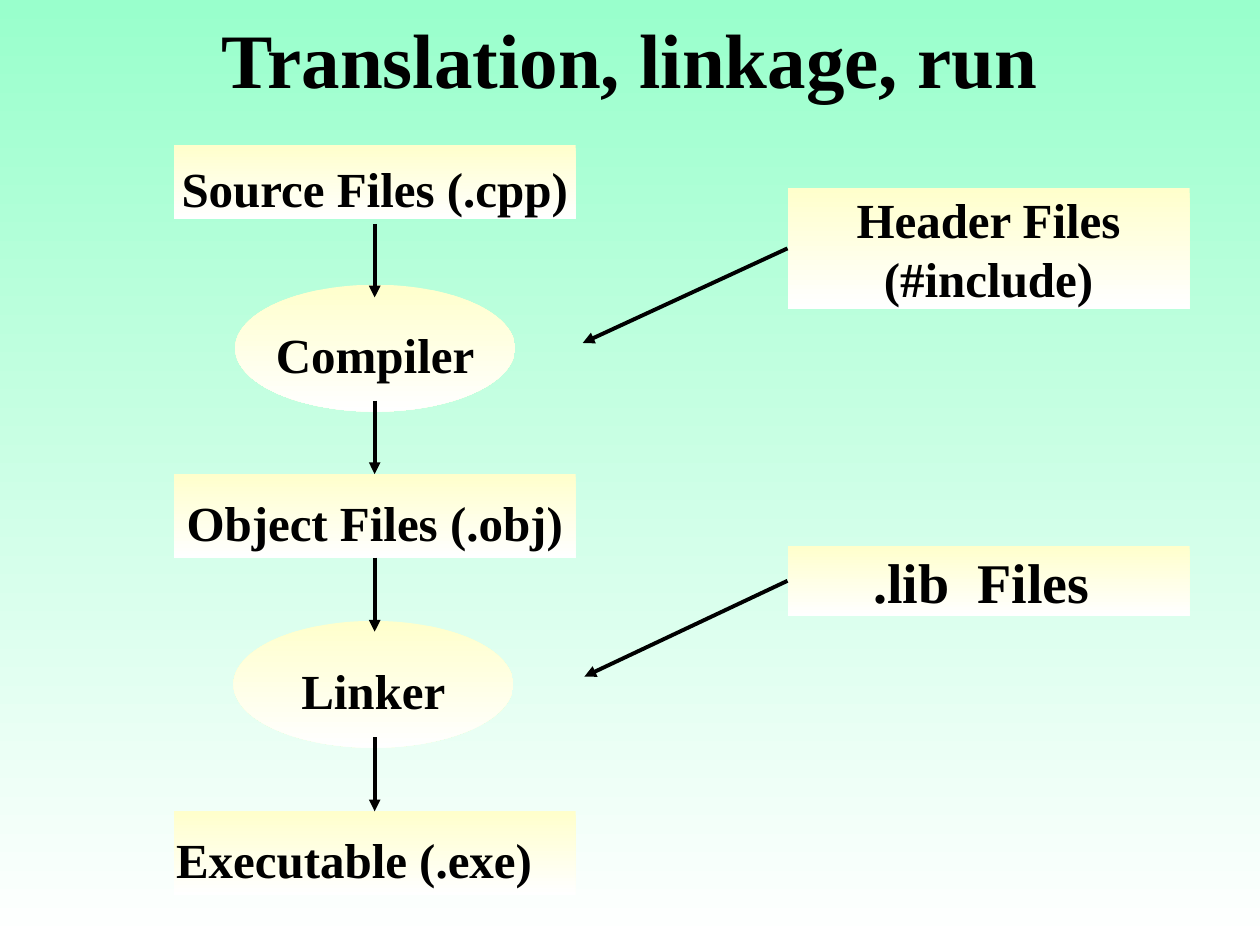
"""Build the slide on translation, linkage and run."""
from lxml.etree import SubElement
from pptx import Presentation
from pptx.dml.color import RGBColor
from pptx.enum.shapes import MSO_CONNECTOR, MSO_SHAPE
from pptx.enum.text import MSO_ANCHOR, PP_ALIGN
from pptx.oxml.ns import qn
from pptx.util import Pt

COLORS = {"mint": "99FFCC", "cream": "FFFFCC", "white": "FFFFFF", "black": "000000"}


def fade(fill, top):
    fill.gradient()
    fill.gradient_angle = 270
    for stop, name in zip(fill.gradient_stops, (top, "white")):
        stop.color.rgb = RGBColor.from_string(COLORS[name])


def write(sp, text, size, margins, wrap, para):
    tf = sp.text_frame
    frame = {"word_wrap": wrap, "vertical_anchor": MSO_ANCHOR.MIDDLE}
    for side, gap in zip(("left", "top", "right", "bottom"), margins * 2):
        frame[f"margin_{side}"] = Pt(gap)
    for key, value in frame.items():
        setattr(tf, key, value)
    p = tf.paragraphs[0]
    for key, value in para.items():
        setattr(p, key, value)
    r = p.add_run()
    r.text = text
    for key, value in {"name": "Times New Roman", "size": Pt(size), "bold": True}.items():
        setattr(r.font, key, value)
    r.font.color.rgb = RGBColor.from_string(COLORS["black"])


prs = Presentation()
prs.slide_width, prs.slide_height = Pt(720), Pt(540)
s = prs.slides.add_slide(prs.slide_layouts[6])
fade(s.background.fill, "mint")

title = s.shapes.add_textbox(Pt(0), Pt(12.2), Pt(720), Pt(41.8))
write(title, "Translation, linkage, run", 44, (0, 3.6), True, {"alignment": PP_ALIGN.CENTER})

RECT, OVAL = MSO_SHAPE.RECTANGLE, MSO_SHAPE.OVAL
CENTER, LEFT = PP_ALIGN.CENTER, PP_ALIGN.LEFT
FILES_X, EXTRA_X, FILES_W = 99.2, 450, 229.8
OVAL_W, OVAL_H = 160, 72.5
boxes = [
    ("Source Files (.cpp)", RECT, FILES_X, 82.9, FILES_W, 42, 28, CENTER, 1.2, 17.5),
    ("Object Files (.obj)", RECT, FILES_X, 270.9, FILES_W, 47.8, 28, CENTER, 1.2, 17.5),
    ("Executable (.exe)", RECT, FILES_X, 463.6, FILES_W, 47.8, 28, LEFT, 1.2, 17.5),
    ("Compiler", OVAL, 134.4, 162.7, OVAL_W, OVAL_H, 28, CENTER, 1.2, 7),
    ("Linker", OVAL, 133.4, 354.8, OVAL_W, OVAL_H, 28, CENTER, 1.2, 7),
    ("Header Files (#include)", RECT, EXTRA_X, 107.4, FILES_W, 69.1, 28, CENTER, 1, 17.5),
    (".lib  Files ", RECT, EXTRA_X, 311.9, FILES_W, 40, 32, CENTER, 1, 20),
]
nodes = {}
for text, kind, x, y, w, h, size, align, spacing, before in boxes:
    sp = s.shapes.add_shape(kind, Pt(x), Pt(y), Pt(w), Pt(h))
    sp.shadow.inherit = False
    sp.line.fill.background()
    fade(sp.fill, "cream")
    para = {"alignment": align, "line_spacing": spacing, "space_before": Pt(before)}
    margins = (7.2, 3.6) if kind == OVAL else (1.4, 0.7)
    write(sp, text, size, margins, kind == RECT, para)
    nodes[text.split()[0]] = sp

MID_X, DROP = FILES_X + FILES_W / 2, 42
arrows = [
    (MID_X, 128, MID_X, 128 + DROP, None, None),
    (MID_X, 229, MID_X, 229 + DROP, None, ("Object", 0)),
    (MID_X, 319, MID_X, 319 + DROP, ("Object", 2), None),
    (MID_X, 421.3, MID_X, 421.3 + DROP, None, ("Executable", 0)),
    (448, 142, 333, 196, ("Header", 1), None),
    (448.6, 332.6, 334, 386.6, (".lib", 1), None),
]
for x1, y1, x2, y2, start, end in arrows:
    c = s.shapes.add_connector(MSO_CONNECTOR.STRAIGHT, Pt(x1), Pt(y1), Pt(x2), Pt(y2))
    if start:
        c.begin_connect(nodes[start[0]], start[1])
    if end:
        c.end_connect(nodes[end[0]], end[1])
    c.line.width = Pt(2.25)
    c.line.color.rgb = RGBColor.from_string(COLORS["black"])
    SubElement(c.line._get_or_add_ln(), qn("a:tailEnd"), type="triangle")
    SubElement(c._element.spPr, qn("a:effectLst"))

prs.save("out.pptx")
